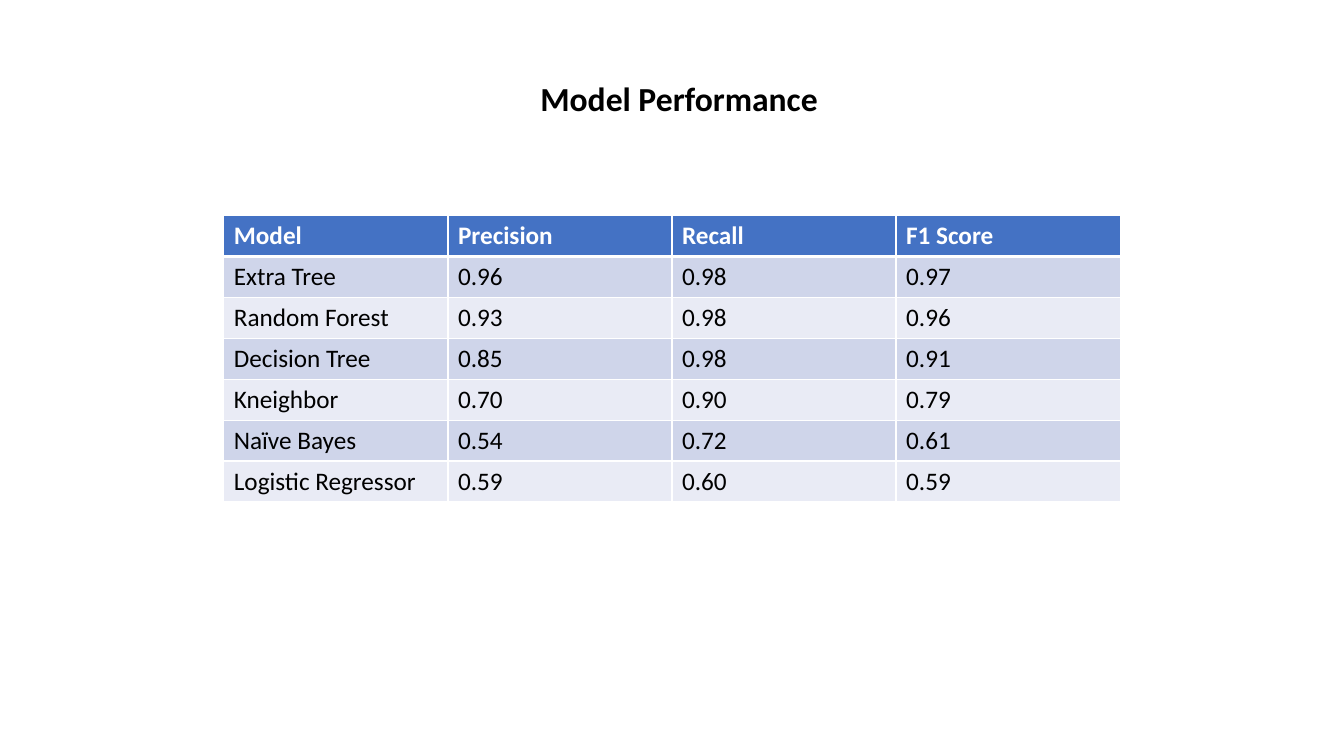
import dataclasses

import pptx
import pptx.dml.color
import pptx.enum.text
import pptx.oxml
import pptx.oxml.ns
import pptx.util

Inches = pptx.util.Inches
Pt = pptx.util.Pt
WHITE = "FFFFFF"
BLACK = "000000"
BLUE = "4472C4"
BANDS = ("CFD5EA", "E9EBF5")
HEAD = ("Model", "Precision", "Recall", "F1 Score")


@dataclasses.dataclass
class Score:
    model: str
    prec: float
    recall: float
    f1: float

    def texts(self) -> tuple:
        nums = (self.prec, self.recall, self.f1)
        return (self.model, *(f"{num:.2f}" for num in nums))


@dataclasses.dataclass
class Look:
    fill: str
    ink: str
    bold: bool
    top: int = 1
    base: int = 1


SCORES = (
    Score("Extra Tree", 0.96, 0.98, 0.97),
    Score("Random Forest", 0.93, 0.98, 0.96),
    Score("Decision Tree", 0.85, 0.98, 0.91),
    Score("Kneighbor", 0.70, 0.90, 0.79),
    Score("Naïve Bayes", 0.54, 0.72, 0.61),
    Score("Logistic Regressor", 0.59, 0.60, 0.59),
)


def tint(target, code: str) -> None:
    target.rgb = pptx.dml.color.RGBColor.from_string(code)


def apply(target, values: dict) -> None:
    for name, value in values.items():
        setattr(target, name, value)


def style(font, size: int, ink: str, bold: bool) -> None:
    apply(font, {"name": "Calibri", "size": Pt(size), "bold": bold})
    tint(font.color, ink)


def edge(cell, look: Look) -> None:
    props = cell._tc.get_or_add_tcPr()
    sides = {"L": 1, "R": 1, "T": look.top, "B": look.base}
    for side, width in sides.items():
        props.append(pptx.oxml.parse_xml(
            f'<a:ln{side} {pptx.oxml.ns.nsdecls("a")} w="{Pt(width)}">'
            f'<a:solidFill><a:srgbClr val="{WHITE}"/></a:solidFill>'
            f'</a:ln{side}>'))


def fill_cell(cell, text: str, look: Look) -> None:
    cell.text = text
    style(cell.text_frame.paragraphs[0].runs[0].font, 18, look.ink, look.bold)
    edge(cell, look)
    cell.fill.solid()
    tint(cell.fill.fore_color, look.fill)


def add_title(slide) -> None:
    title = slide.shapes.title
    apply(title, {"left": Inches(3.97), "top": Inches(0.72),
                  "width": Inches(5.53), "height": Inches(0.5)})
    frame = title.text_frame
    frame.text = "Model Performance"
    apply(frame, {"word_wrap": True,
                  "auto_size": pptx.enum.text.MSO_AUTO_SIZE.SHAPE_TO_FIT_TEXT,
                  "vertical_anchor": pptx.enum.text.MSO_ANCHOR.TOP})
    para = frame.paragraphs[0]
    para.alignment = pptx.enum.text.PP_ALIGN.CENTER
    style(para.runs[0].font, 24, BLACK, True)


def add_scores(slide) -> None:
    rows = (HEAD, *(score.texts() for score in SCORES))
    table = slide.shapes.add_table(
        len(rows), len(HEAD), Inches(2.22), Inches(2.14),
        Inches(8.89), Inches(2.84)).table
    for row, texts in enumerate(rows):
        if row == 0:
            look = Look(BLUE, WHITE, True, base=3)
        else:
            look = Look(BANDS[(row - 1) % 2], BLACK, False,
                        top=3 if row == 1 else 1)
        for col, text in enumerate(texts):
            fill_cell(table.cell(row, col), text, look)


def main() -> None:
    deck = pptx.Presentation()
    apply(deck, {"slide_width": Inches(13.33), "slide_height": Inches(7.5)})
    slide = deck.slides.add_slide(deck.slide_layouts[5])
    add_scores(slide)
    add_title(slide)
    deck.save("out.pptx")


if __name__ == "__main__":
    main()
